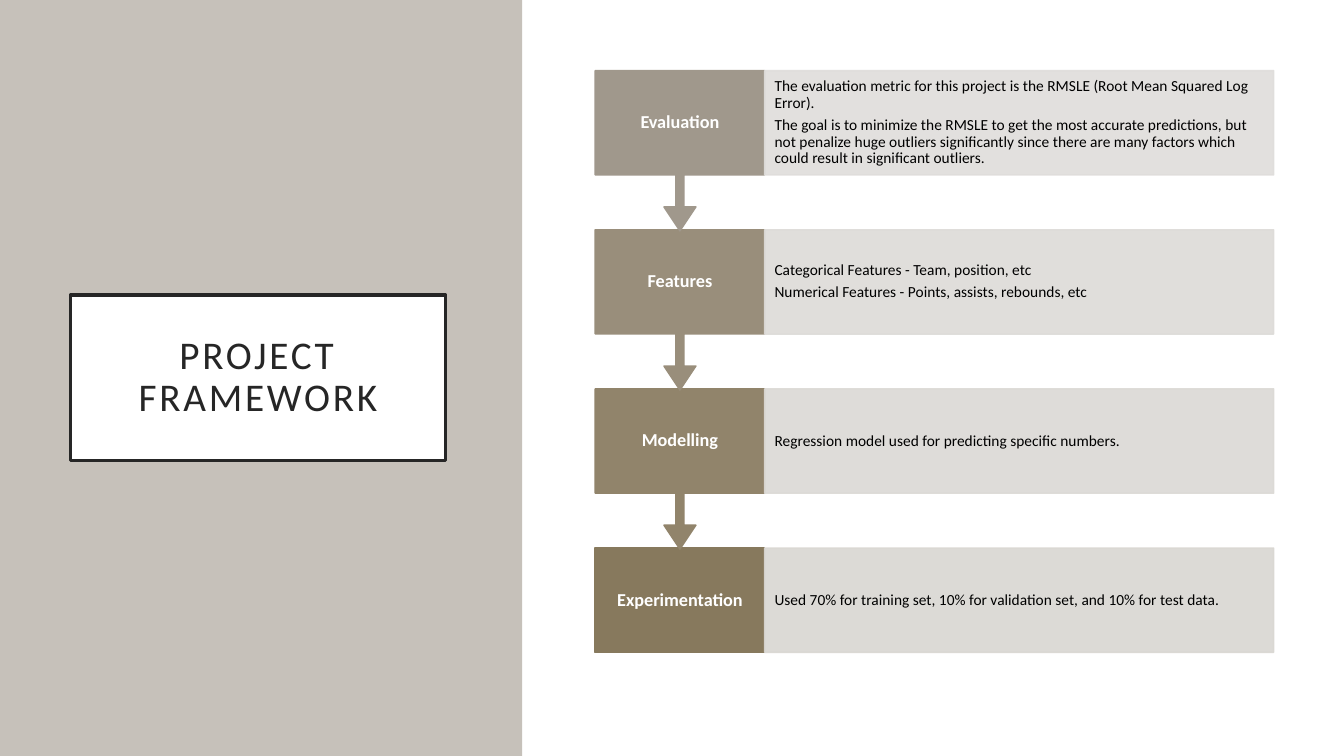
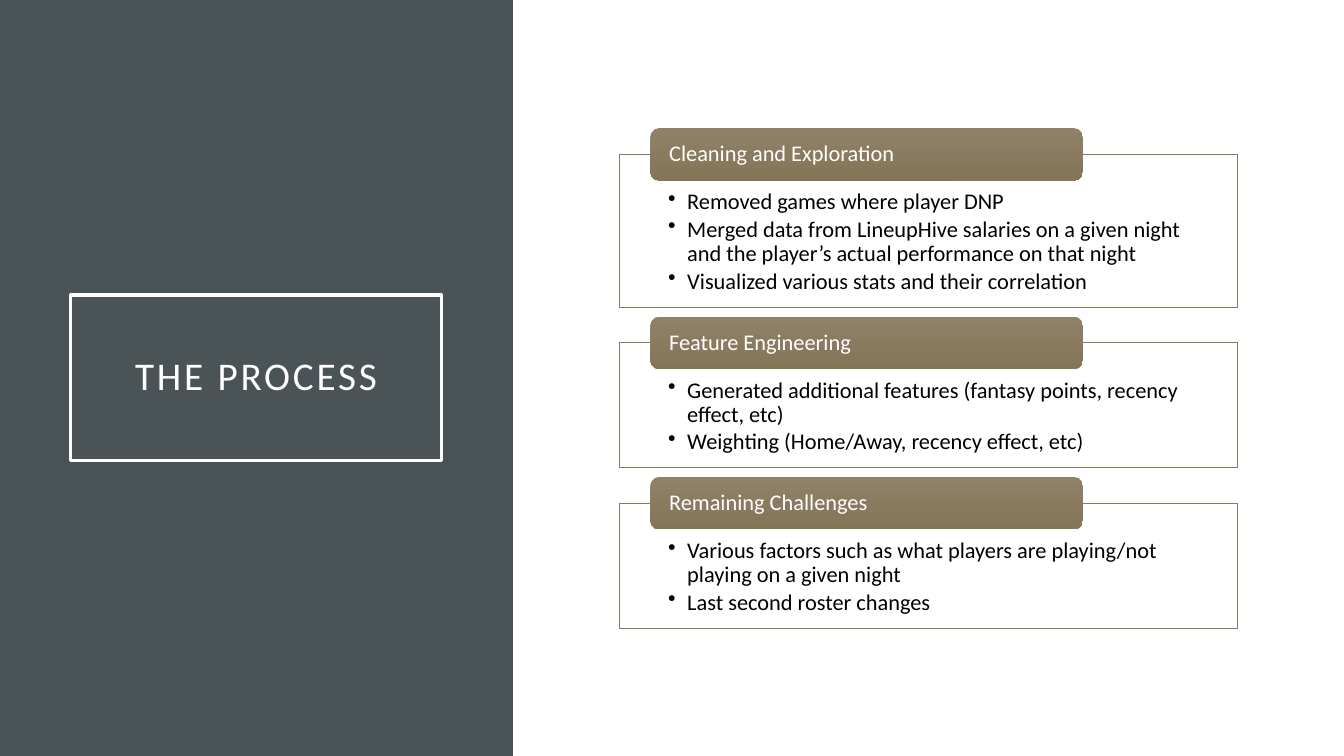
from lxml import etree
from pptx import Presentation
from pptx import util as u
from pptx.dml.color import RGBColor
from pptx.enum import shapes, text
from pptx.oxml.ns import qn

COLORS = {
    "sand": "C6C1BA", "slate": "4A5356", "white": "FFFFFF", "ink": "262626",
    "black": "000000", "bronze": "87795D",
    "header_top": "8F8269", "header_bottom": "847557",
}
PRESET = shapes.MSO_SHAPE
ANCHOR = text.MSO_ANCHOR
ALIGN = text.PP_ALIGN


def rgb(color):
    return RGBColor.from_string(COLORS.get(color, color))


def add_box(slide, preset, place, fill=None, line=None, line_width=1, lines=(), style=None):
    """Add a shape at place (left, top, width, height in cm) with one paragraph per line.

    style holds "frame", "paragraph" and "font" attributes plus the text "color".
    """
    box = slide.shapes.add_shape(preset, *map(u.Cm, place))
    box.shadow.inherit = False
    if fill:
        box.fill.solid()
        box.fill.fore_color.rgb = rgb(fill)
    else:
        box.fill.background()
    if line:
        box.line.color.rgb = rgb(line)
        box.line.width = u.Pt(line_width)
    else:
        box.line.fill.background()
    frame = box.text_frame
    for number, wording in enumerate(lines):
        paragraph = frame.paragraphs[0] if number == 0 else frame.add_paragraph()
        run = paragraph.add_run()
        run.text = wording
        run.font.name = "Calibri"
        run.font.color.rgb = rgb(style["color"])
        for target, part in ((frame, "frame"), (paragraph, "paragraph"), (run.font, "font")):
            for attribute, value in style[part].items():
                setattr(target, attribute, value)
    return box


def text_style(color, size, anchor, align, insets, space_after=0, bold=False):
    sides = ("margin_left", "margin_top", "margin_right", "margin_bottom")
    return {
        "color": color,
        "frame": {"vertical_anchor": anchor, "word_wrap": True,
                  **dict(zip(sides, map(u.Cm, insets)))},
        "paragraph": {"alignment": align, "line_spacing": 0.9,
                      "space_after": u.Pt(space_after)},
        "font": {"size": u.Pt(size), "bold": bold},
    }


step_style = text_style("white", 13, ANCHOR.MIDDLE, ALIGN.CENTER, (0.3, 0.25, 0.3, 0.25), bold=True)
detail_style = text_style("black", 11, ANCHOR.MIDDLE, ALIGN.LEFT, (0.25, 0.38, 0.25, 0.38), 3.8)
header_style = text_style("white", 16, ANCHOR.MIDDLE, ALIGN.LEFT, (0.41, 0, 0.41, 0))
bullet_style = text_style("black", 16, ANCHOR.TOP, ALIGN.LEFT, (1.22, 0.91, 1.22, 0.3), 2.4)

prs = Presentation()
prs.slide_width = u.Cm(33.87)
prs.slide_height = u.Cm(19.05)

# Both slides: coloured band on the left with a framed title
title_panels = [
    # title, band colour, band width, title width, title fill, title colour
    ("PROJECT FRAMEWORK", "sand", 13.16, 9.45, "white", "ink"),
    ("THE PROCESS", "slate", 12.93, 9.35, None, "white"),
]
for title, band, band_width, title_width, title_fill, title_color in title_panels:
    slide = prs.slides.add_slide(prs.slide_layouts[6])
    add_box(slide, PRESET.RECTANGLE, (0, 0, band_width, 19.05), band)
    title_style = text_style(title_color, 28, ANCHOR.MIDDLE, ALIGN.CENTER, (0.5,) * 4)
    title_box = add_box(slide, PRESET.RECTANGLE, (1.78, 7.44, title_width, 4.17),
                        title_fill, title_color, 2.5, [title], title_style)
    title_box.text_frame.paragraphs[0].runs[0].font._element.set("spc", "200")

framework, process = prs.slides

# Project framework: four steps, each pointing down to the next
steps = [
    ("Evaluation", "A0988C", "DFDDDB", [
        "The evaluation metric for this project is the RMSLE (Root Mean Squared Log Error).",
        "The goal is to minimize the RMSLE to get the most accurate predictions, but not "
        "penalize huge outliers significantly since there are many factors which could "
        "result in significant outliers."]),
    ("Features", "998E7B", "DDDBD8", [
        "Categorical Features - Team, position, etc",
        "Numerical Features - Points, assists, rebounds, etc"]),
    ("Modelling", "91846B", "DBD9D5", [
        "Regression model used for predicting specific numbers."]),
    ("Experimentation", "87795D", "D9D7D2", [
        "Used 70% for training set, 10% for validation set, and 10% for test data."]),
]
step_left, step_width, step_height, step_pitch = 15, 4.27, 2.63, 4.01
callout_height = 4.04
last_step = len(steps) - 1

# Bottom step first, so that each arrow tip lies over the step below
for index in range(last_step, -1, -1):
    name, step_color, detail_color, details = steps[index]
    step_top = 1.78 + index * step_pitch
    is_last = index == last_step
    step = add_box(framework, PRESET.RECTANGLE if is_last else PRESET.DOWN_ARROW_CALLOUT,
                   (step_left, step_top, step_width, step_height if is_last else callout_height),
                   step_color, step_color, 1, [name], step_style)
    if not is_last:
        for position, share in enumerate((0.05, 0.1, 0.15, 0.65)):
            step.adjustments[position] = share
    detail = add_box(framework, PRESET.RECTANGLE,
                     (step_left + step_width, step_top, 12.83, step_height),
                     detail_color, detail_color, 1, details, detail_style)
    for paint in (detail.fill, detail.line.fill):
        solid = paint._xPr.find(qn("a:solidFill"))
        etree.SubElement(solid[0], qn("a:alpha"), val="90000")

# The process: framed bullet lists with a header tab on each top edge
stages = [
    ("Cleaning and Exploration", 3.86, [
        "Removed games where player DNP",
        "Merged data from LineupHive salaries on a given night and the player’s actual "
        "performance on that night",
        "Visualized various stats and their correlation"]),
    ("Feature Engineering", 3.15, [
        "Generated additional features (fantasy points, recency effect, etc)",
        "Weighting (Home/Away, recency effect, etc)"]),
    ("Remaining Challenges", 3.15, [
        "Various factors such as what players are playing/not playing on a given night",
        "Last second roster changes"]),
]
stage_top, stage_gap, header_height = 3.89, 0.89, 1.32
for heading, stage_height, bullets in stages:
    stage = add_box(process, PRESET.RECTANGLE, (15.62, stage_top, 15.57, stage_height),
                    "white", "bronze", 0.5, bullets, bullet_style)
    for paragraph in stage.text_frame.paragraphs:
        properties = paragraph._p.get_or_add_pPr()
        properties.set("marL", str(u.Cm(0.48)))
        properties.set("indent", str(-u.Cm(0.48)))
        etree.SubElement(properties, qn("a:buChar"), char="•")

    header = add_box(process, PRESET.ROUNDED_RECTANGLE,
                     (16.39, stage_top - header_height / 2, 10.9, header_height),
                     lines=[heading], style=header_style)
    header.fill.gradient()
    header.fill.gradient_angle = 270
    for stop, shade in zip(header.fill.gradient_stops, ("header_top", "header_bottom")):
        stop.color.rgb = rgb(shade)
    stage_top += stage_height + stage_gap

prs.save("out.pptx")
